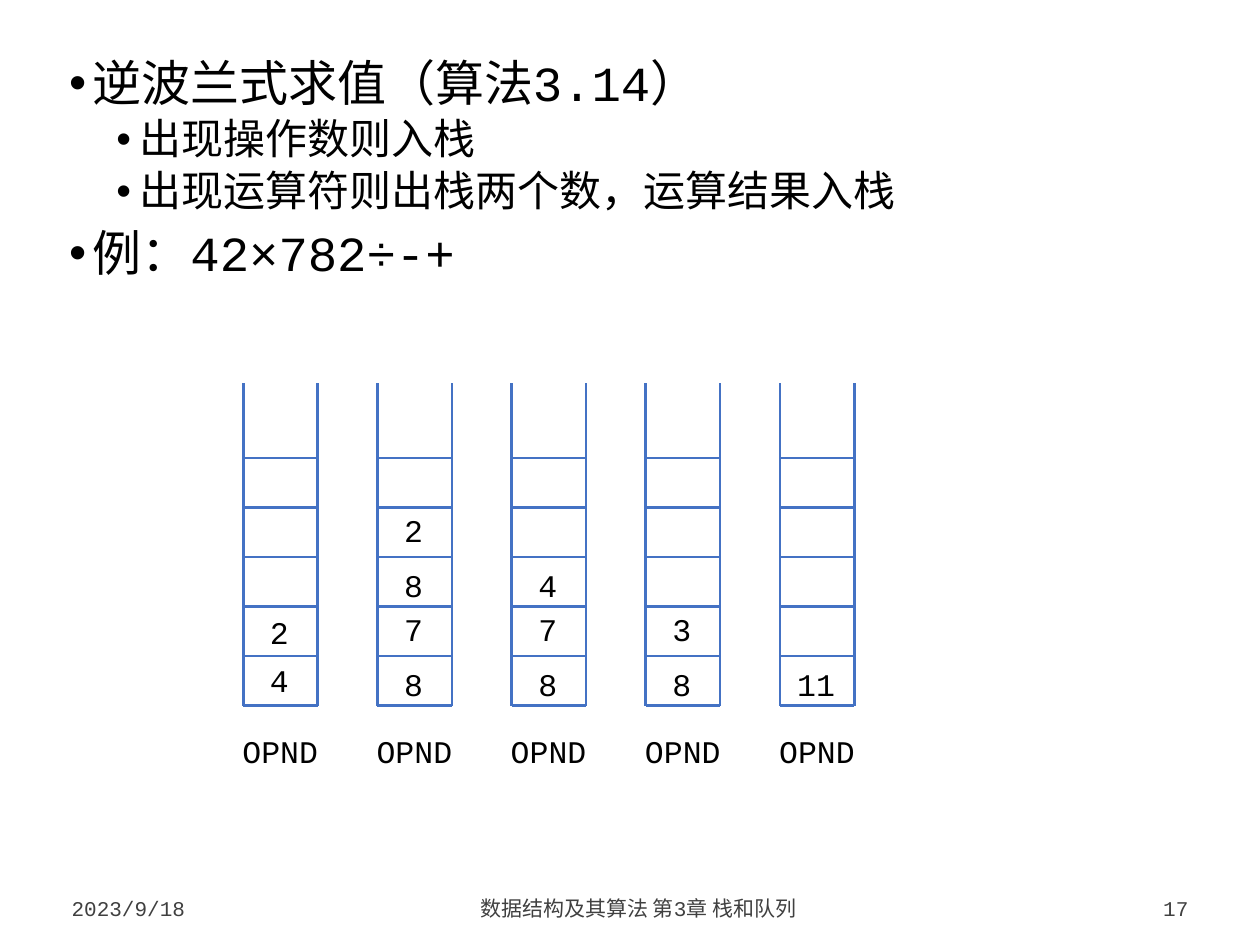
"""Build the slide on evaluating reverse Polish expressions with a stack."""
from dataclasses import dataclass

from lxml.etree import SubElement
from pptx import Presentation
from pptx.dml.color import RGBColor
from pptx.enum.shapes import MSO_CONNECTOR as Connector
from pptx.enum.text import MSO_ANCHOR as Anchor, MSO_AUTO_SIZE as AutoSize, PP_ALIGN as Align
from pptx.oxml.ns import qn
from pptx.util import Pt


@dataclass(frozen=True)
class Theme:
    font: str = "Courier New"
    bullet_font: str = "Arial"
    text: RGBColor = RGBColor(0, 0, 0)
    footer: RGBColor = RGBColor(0x40, 0x40, 0x40)
    line: RGBColor = RGBColor(0x44, 0x72, 0xC4)
    heading_size: int = 28
    detail_size: int = 24
    label_size: int = 18
    footer_size: int = 12
    line_width: float = 1.5


THEME = Theme()

OUTLINE = (
    (0, "逆波兰式求值（算法3.14）"),
    (1, "出现操作数则入栈"),
    (1, "出现运算符则出栈两个数，运算结果入栈"),
    (0, "例：42×782÷-+"),
)
FOOTERS = (
    (33.84, 95.04, "2023/9/18", Align.LEFT),
    (137.52, 454.32, "数据结构及其算法 第3章 栈和队列", Align.CENTER),
    (601.2, 84.96, "17", Align.RIGHT),
)

STACK_LEFT, STACK_TOP, STACK_PITCH = 139, 219, 76.68
STACK_WIDTH, STACK_HEIGHT = 42.5, 184.2
CELL_HEIGHT, CELL_COUNT = 28.3, 6
LABEL_HEIGHT, LABEL_TOP = 28.8, 414.7
CHARACTER_WIDTH, LABEL_PADDING = 10.8, 14.4
ROW_TOPS = (376.6, 344.9, 319.7, 288.7)
FIRST_ROW_TOPS = (374.4, 347)
STACKS = (
    ("42", FIRST_ROW_TOPS),
    ("8782", ROW_TOPS),
    ("874", ROW_TOPS),
    ("83", ROW_TOPS),
    (("11",), ROW_TOPS),
)


def format_runs(paragraph, size, color):
    """Apply the slide font to every run of a paragraph."""
    for run in paragraph.runs:
        run.font.name = THEME.font
        run.font.size = Pt(size)
        run.font.color.rgb = color


def add_bullet(paragraph, level):
    """Give a paragraph its level, hanging indent and bullet."""
    paragraph.level = level
    properties = paragraph._p.get_or_add_pPr()
    properties.set("marL", str(Pt(13.5 + 27 * level)))
    properties.set("indent", str(Pt(-13.5)))
    SubElement(properties, qn("a:buFont"), typeface=THEME.bullet_font)
    SubElement(properties, qn("a:buChar"), char="•")


def add_outline(slide):
    """Add the bulleted explanation."""
    shape = slide.shapes.add_textbox(Pt(33.84), Pt(28.08), Pt(652.32), Pt(462.24))
    frame = shape.text_frame
    frame.word_wrap = True
    frame.margin_left = frame.margin_right = Pt(5.6)
    frame.margin_top = frame.margin_bottom = Pt(5.6)
    frame.text = "\n".join(text for _, text in OUTLINE)
    for paragraph, (level, _) in zip(frame.paragraphs, OUTLINE):
        paragraph.line_spacing = 0.9
        paragraph.space_before = Pt(3.8 if level else 7.5)
        add_bullet(paragraph, level)
        format_runs(paragraph, THEME.detail_size if level else THEME.heading_size, THEME.text)


def add_footer(slide, left, width, text, alignment):
    """Add one bottom-anchored footer field."""
    shape = slide.shapes.add_textbox(Pt(left), Pt(501.84), Pt(width), Pt(28.08))
    frame = shape.text_frame
    frame.word_wrap = True
    frame.vertical_anchor = Anchor.BOTTOM
    frame.text = text
    paragraph = frame.paragraphs[0]
    paragraph.alignment = alignment
    format_runs(paragraph, THEME.footer_size, THEME.footer)


def add_label(shapes, center, top, text):
    """Add a short unwrapped label centred on a horizontal position."""
    width = LABEL_PADDING + CHARACTER_WIDTH * len(text)
    shape = shapes.add_textbox(Pt(center - width / 2), Pt(top), Pt(width), Pt(LABEL_HEIGHT))
    frame = shape.text_frame
    frame.word_wrap = False
    frame.auto_size = AutoSize.SHAPE_TO_FIT_TEXT
    frame.text = text
    format_runs(frame.paragraphs[0], THEME.label_size, THEME.text)


def add_line(shapes, *ends):
    """Add a straight line through start and end coordinates."""
    line = shapes.add_connector(Connector.STRAIGHT, *map(Pt, ends))
    line.line.color.rgb = THEME.line
    line.line.width = Pt(THEME.line_width)
    SubElement(line._element.spPr, qn("a:effectLst"))


def add_stack(slide, left, values, row_tops):
    """Add an open-topped stack with its name and its operands."""
    group = slide.shapes.add_group_shape()
    right, bottom = left + STACK_WIDTH, STACK_TOP + STACK_HEIGHT
    center = left + STACK_WIDTH / 2
    for side in (left, right):
        add_line(group.shapes, side, STACK_TOP, side, bottom)
    for row in range(CELL_COUNT):
        height = bottom - row * CELL_HEIGHT
        add_line(group.shapes, left, height, right, height)
    add_label(group.shapes, center, LABEL_TOP, "OPND")
    for value, top in zip(values, row_tops):
        add_label(slide.shapes, center - 0.5, top, value)


def main():
    """Create and save the presentation."""
    presentation = Presentation()
    presentation.slide_width, presentation.slide_height = Pt(720), Pt(540)
    slide = presentation.slides.add_slide(presentation.slide_layouts[6])
    add_outline(slide)
    for footer in FOOTERS:
        add_footer(slide, *footer)
    for index, (values, row_tops) in enumerate(STACKS):
        add_stack(slide, STACK_LEFT + index * STACK_PITCH, values, row_tops)
    presentation.save("out.pptx")


if __name__ == "__main__":
    main()
